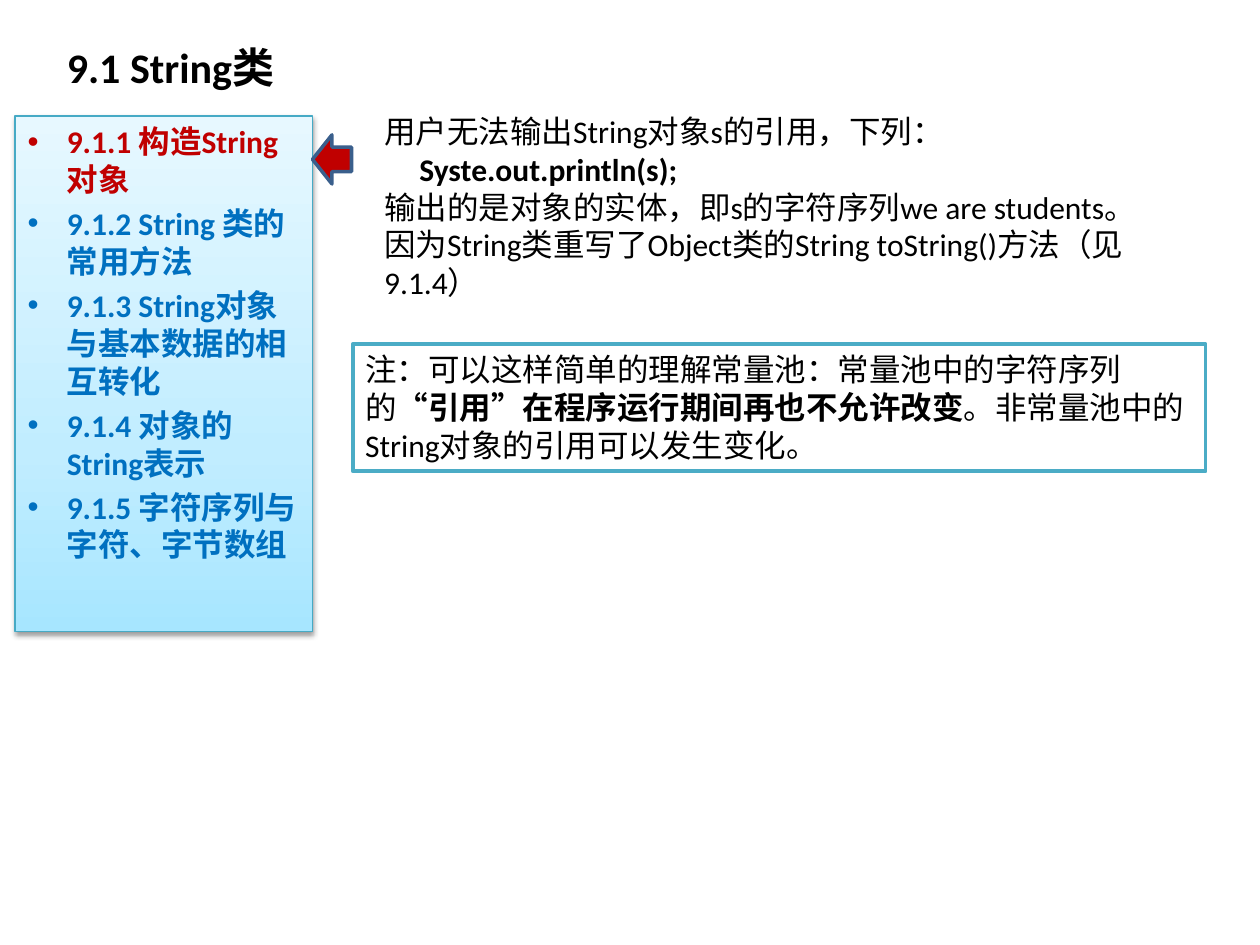
import pptx
import pptx.dml.color
import pptx.enum.shapes
import pptx.enum.text
import pptx.oxml
import pptx.oxml.ns
import pptx.util

RGBColor = pptx.dml.color.RGBColor
Inches = pptx.util.Inches
Pt = pptx.util.Pt
ShapeType = pptx.enum.shapes.MSO_SHAPE
Anchor = pptx.enum.text.MSO_ANCHOR
AutoSize = pptx.enum.text.MSO_AUTO_SIZE
Align = pptx.enum.text.PP_ALIGN

BLACK = RGBColor(0x00, 0x00, 0x00)
WHITE = RGBColor(0xFF, 0xFF, 0xFF)
RED = RGBColor(0xC0, 0x00, 0x00)
BLUE = RGBColor(0x00, 0x70, 0xC0)
ARROW_EDGE = RGBColor(0x3A, 0x5F, 0x8C)
NOTE_EDGE = RGBColor(0x4B, 0xAC, 0xC6)
MENU_EDGE = RGBColor(0x46, 0xAA, 0xC5)
MENU_GRADIENT = [
    (0, RGBColor(0xA7, 0xE6, 0xFF)),
    (35, RGBColor(0xC1, 0xED, 0xFF)),
    (100, RGBColor(0xE7, 0xF8, 0xFF)),
]

FONT = "Calibri"
TITLE_SIZE = 24
TEXT_SIZE = 18

SECTIONS = [
    "9.1.1 构造String对象",
    "9.1.2 String 类的常用方法",
    "9.1.3 String对象与基本数据的相互转化",
    "9.1.4 对象的String表示",
    "9.1.5 字符序列与字符、字节数组",
]
CURRENT_SECTION = 0

# Each paragraph: left indent in inches, then runs of (text, bold).
EXPLANATION = [
    (0, [("用户无法输出String对象s的引用，下列：", False)]),
    (0.28, [("Syste.out.println(s);", True)]),
    (0, [("输出的是对象的实体，即s的字符序列we are students。"
          "因为String类重写了Object类的String toString()方法（见9.1.4）", False)]),
]
NOTE = [
    (0, [("注：可以这样简单的理解常量池：常量池中的字符序列的", False),
         ("“引用”在程序运行期间再也不允许改变", True),
         ("。非常量池中的String对象的引用可以发生变化。", False)]),
]


def place(shape, left, top, width, height):
    shape.left, shape.top = Inches(left), Inches(top)
    shape.width, shape.height = Inches(width), Inches(height)


def add_run(paragraph, text, size=TEXT_SIZE, color=BLACK, bold=False):
    run = paragraph.add_run()
    run.text = text
    run.font.name = FONT
    run.font.size = Pt(size)
    run.font.bold = bold
    run.font.color.rgb = color


def next_paragraph(text_frame, index):
    return text_frame.paragraphs[0] if index == 0 else text_frame.add_paragraph()


def set_indent(paragraph, left, first_line=0):
    properties = paragraph._p.get_or_add_pPr()
    properties.set("marL", str(Inches(left)))
    properties.set("indent", str(Inches(first_line)))


def fill_text(text_frame, paragraphs):
    text_frame.word_wrap = True
    text_frame.auto_size = AutoSize.SHAPE_TO_FIT_TEXT
    for index, (indent, runs) in enumerate(paragraphs):
        paragraph = next_paragraph(text_frame, index)
        paragraph.alignment = Align.LEFT
        if indent:
            set_indent(paragraph, indent)
        for text, bold in runs:
            add_run(paragraph, text, bold=bold)


def set_outline(shape, color, width):
    shape.line.color.rgb = color
    shape.line.width = Pt(width)


def set_gradient(shape, stops):
    """Fill the shape with stops that run from its bottom to its top."""
    shape.fill.gradient()
    shape.fill.gradient_angle = 90
    stop_list = shape._element.spPr.find(".//" + pptx.oxml.ns.qn("a:gsLst"))
    for stop in list(stop_list):
        stop_list.remove(stop)
    for position, color in stops:
        stop_list.append(pptx.oxml.parse_xml(
            f'<a:gs {pptx.oxml.ns.nsdecls("a")} pos="{position * 1000}">'
            f'<a:srgbClr val="{color}"/></a:gs>'))


def add_drop_shadow(shape, blur, distance, opacity):
    shape.shadow.inherit = False
    effects = shape._element.spPr.find(pptx.oxml.ns.qn("a:effectLst"))
    effects.append(pptx.oxml.parse_xml(
        f'<a:outerShdw {pptx.oxml.ns.nsdecls("a")} blurRad="{Pt(blur)}" '
        f'dist="{Pt(distance)}" dir="5400000" rotWithShape="0">'
        f'<a:srgbClr val="{BLACK}"><a:alpha val="{opacity * 1000}"/></a:srgbClr>'
        f'</a:outerShdw>'))


def add_filled_shape(slide, kind, box, fill, edge):
    shape = slide.shapes.add_shape(kind, *map(Inches, box))
    shape.shadow.inherit = False
    shape.fill.solid()
    shape.fill.fore_color.rgb = fill
    set_outline(shape, edge, 2)
    return shape


def write_title(title):
    place(title, 0.43, 0.02, 2.15, 0.76)
    title.text_frame.auto_size = AutoSize.NONE
    title.text_frame.vertical_anchor = Anchor.BOTTOM
    paragraph = title.text_frame.paragraphs[0]
    paragraph.alignment = Align.LEFT
    add_run(paragraph, "9.1 String类", TITLE_SIZE, bold=True)


def write_section_menu(menu):
    place(menu, 0.12, 0.92, 2.36, 4.09)
    set_gradient(menu, MENU_GRADIENT)
    set_outline(menu, MENU_EDGE, 0.75)
    add_drop_shadow(menu, blur=3.1, distance=1.6, opacity=38)
    menu.text_frame.auto_size = AutoSize.NONE
    for index, section in enumerate(SECTIONS):
        paragraph = next_paragraph(menu.text_frame, index)
        set_indent(paragraph, 0.31, -0.31)
        if index == 0:
            paragraph.space_before = Pt(0)
        color = RED if index == CURRENT_SECTION else BLUE
        add_run(paragraph, section, color=color, bold=True)


def main():
    presentation = pptx.Presentation()
    presentation.slide_width = Inches(10)
    presentation.slide_height = Inches(7.5)
    slide = presentation.slides.add_slide(presentation.slide_layouts[1])

    write_title(slide.shapes.title)
    write_section_menu(slide.placeholders[1])
    add_filled_shape(slide, ShapeType.LEFT_ARROW, (2.48, 1.07, 0.31, 0.39),
                     RED, ARROW_EDGE)
    explanation = slide.shapes.add_textbox(*map(Inches, (2.95, 0.84, 6.38, 1.62)))
    fill_text(explanation.text_frame, EXPLANATION)
    note = add_filled_shape(slide, ShapeType.RECTANGLE, (2.8, 2.73, 6.77, 1.01),
                            WHITE, NOTE_EDGE)
    note.text_frame.vertical_anchor = Anchor.TOP
    fill_text(note.text_frame, NOTE)

    presentation.save("out.pptx")


if __name__ == "__main__":
    main()
